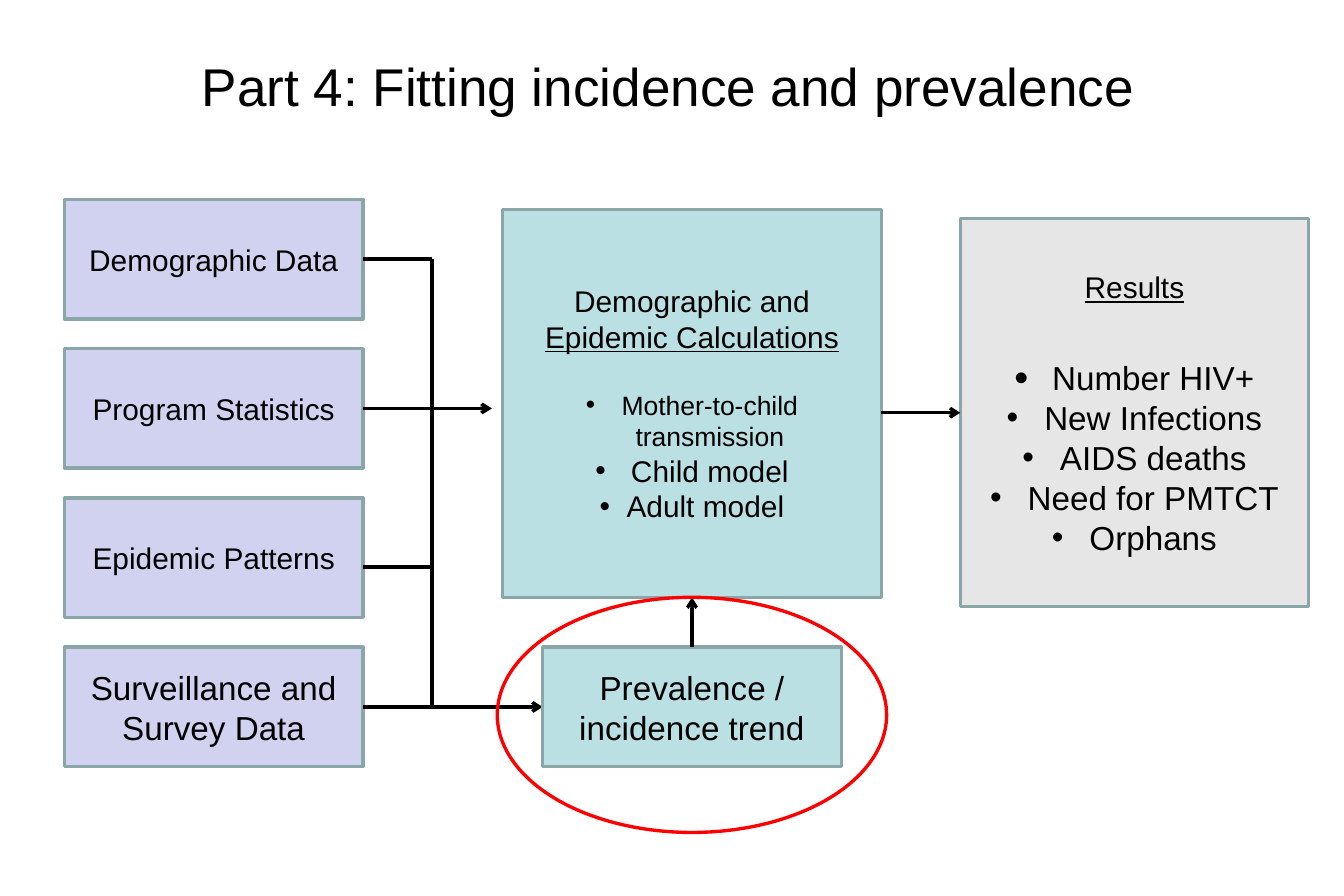
from collections import namedtuple
from dataclasses import dataclass

from lxml import etree
from pptx import Presentation
from pptx.dml.color import RGBColor
from pptx.enum.shapes import MSO_CONNECTOR, MSO_SHAPE
from pptx.enum.text import MSO_ANCHOR, PP_ALIGN
from pptx.oxml.ns import qn
from pptx.util import Cm, Pt

PROCESS = MSO_SHAPE.FLOWCHART_PROCESS
OVAL = MSO_SHAPE.OVAL
STRAIGHT = MSO_CONNECTOR.STRAIGHT
MIDDLE = MSO_ANCHOR.MIDDLE
CENTER = PP_ALIGN.CENTER

Box = namedtuple("Box", "x y w h")
Bullet = namedtuple("Bullet", "text size indent before scale", defaults=(0, 100))


@dataclass(frozen=True)
class Theme:
    """Colours, font and type sizes of the slide."""
    font: str = "Arial"
    ink: str = "000000"
    border: str = "8AA6A8"
    data: str = "D1D1F0"
    model: str = "BBE0E3"
    results: str = "E6E6E6"
    highlight: str = "FF0000"
    title: int = 32
    large: int = 20
    body: int = 18
    small: int = 16
    line: int = 2


THEME = Theme()


def rgb(value):
    """Turn a hex value into a colour."""
    return RGBColor.from_string(value)


def style_paragraph(p, size):
    """Centre a paragraph and format its runs."""
    p.alignment = CENTER
    for r in p.runs:
        r.font.name = THEME.font
        r.font.size = Pt(size)
        r.font.color.rgb = rgb(THEME.ink)


def add_bullet(tf, item):
    """Append a bulleted paragraph with a hanging indent."""
    p = tf.add_paragraph()
    p.text = item.text
    style_paragraph(p, item.size)
    p.space_before = Pt(item.before)
    pPr = p._p.get_or_add_pPr()
    pPr.set("marL", str(Cm(item.indent)))
    pPr.set("indent", str(-Cm(item.indent)))
    etree.SubElement(pPr, qn("a:buSzPct")).set("val", str(item.scale * 1000))
    etree.SubElement(pPr, qn("a:buFont")).set("typeface", THEME.font)
    etree.SubElement(pPr, qn("a:buChar")).set("char", "•")


def add_process(s, box, text, fill, size):
    """Draw a process box with centred text and return its text frame."""
    sp = s.shapes.add_shape(PROCESS, *map(Cm, box))
    sp.shadow.inherit = False
    sp.fill.solid()
    sp.fill.fore_color.rgb = rgb(fill)
    sp.line.color.rgb = rgb(THEME.border)
    sp.line.width = Pt(THEME.line)
    tf = sp.text_frame
    tf.word_wrap = True
    tf.vertical_anchor = MIDDLE
    tf.text = text
    style_paragraph(tf.paragraphs[0], size)
    return tf


def add_line(s, x1, y1, x2, y2, arrow=False):
    """Draw a straight line, with an open arrowhead at its end if asked."""
    cn = s.shapes.add_connector(STRAIGHT, Cm(x1), Cm(y1), Cm(x2), Cm(y2))
    cn.line.color.rgb = rgb(THEME.ink)
    cn.line.width = Pt(THEME.line)
    if arrow:
        ln = cn.line._get_or_add_ln()
        etree.SubElement(ln, qn("a:tailEnd")).set("type", "arrow")
    etree.SubElement(cn._element.spPr, qn("a:effectLst"))


def add_title(s, box, text):
    """Place the slide title."""
    tf = s.shapes.add_textbox(*map(Cm, box)).text_frame
    tf.word_wrap = True
    tf.margin_top = Cm(0.3)
    tf.text = text
    style_paragraph(tf.paragraphs[0], THEME.title)


def add_inputs(s, box, model_x, trend_x):
    """Stack the input boxes and join them to the model and the trend."""
    inputs = [
        ("Demographic Data", THEME.body),
        ("Program Statistics", THEME.body),
        ("Epidemic Patterns", THEME.body),
        ("Surveillance and Survey Data", THEME.large),
    ]
    height = 2.54
    pitch = (box.h - height) / (len(inputs) - 1)
    for i, (text, size) in enumerate(inputs):
        add_process(s, Box(box.x, box.y + i * pitch, box.w, height), text, THEME.data, size)
    right = box.x + box.w
    trunk = right + 1.47
    demographic, program, epidemic, survey = (
        box.y + height / 2 + i * pitch for i in range(len(inputs)))
    epidemic += 0.2
    add_line(s, right, survey, trend_x, survey, arrow=True)
    add_line(s, right, program, model_x - 0.23, program, arrow=True)
    add_line(s, trunk, demographic, trunk, survey)
    for y in (demographic, epidemic):
        add_line(s, right, y, trunk, y)


def add_model(s, box):
    """Draw the calculations box with its list of models."""
    tf = add_process(s, box, "Demographic and\vEpidemic Calculations", THEME.model, THEME.body)
    tf.paragraphs[0].runs[-1].font.underline = True
    for item in (
        Bullet("Mother-to-child transmission", THEME.small, 0.76, before=20.7),
        Bullet("Child model", THEME.body, 0.76),
        Bullet("Adult model", THEME.body, 0.57),
    ):
        add_bullet(tf, item)


def add_trend(s, box, model_bottom):
    """Draw the trend box, its arrow up to the model and the highlight."""
    add_process(s, box, "Prevalence / incidence trend", THEME.model, THEME.large)
    middle = box.x + box.w / 2
    add_line(s, middle, box.y, middle, model_bottom, arrow=True)
    width = 8.28
    ring = Box(middle - width / 2, model_bottom, width, 5)
    sp = s.shapes.add_shape(OVAL, *map(Cm, ring))
    sp.shadow.inherit = False
    sp.fill.background()
    sp.line.color.rgb = rgb(THEME.highlight)
    sp.line.width = Pt(THEME.line)


def add_results(s, box, model_right):
    """Draw the results box and the arrow that leads to it."""
    tf = add_process(s, box, "Results", THEME.results, THEME.body)
    tf.paragraphs[0].runs[0].font.underline = True
    add_bullet(tf, Bullet("Number HIV+", THEME.large, 0.8, before=32, scale=120))
    for text in ("New Infections", "AIDS deaths", "Need for PMTCT", "Orphans"):
        add_bullet(tf, Bullet(text, THEME.large, 0.8))
    y = box.y + box.h / 2
    add_line(s, model_right, y, box.x, y, arrow=True)


def main():
    """Build the slide and save it."""
    prs = Presentation()
    prs.slide_width, prs.slide_height = Cm(28.58), Cm(19.05)
    s = prs.slides.add_slide(prs.slide_layouts[6])
    model = Box(10.69, 4.45, 8.05, 8.25)
    trend = Box(11.54, 13.76, 6.35, 2.54)
    add_title(s, Box(1.37, 0.84, 25.7, 2.21), "Part 4: Fitting incidence and prevalence")
    add_inputs(s, Box(1.37, 4.24, 6.35, 12.06), model.x, trend.x)
    add_model(s, model)
    add_trend(s, trend, model.y + model.h)
    add_results(s, Box(20.42, 4.65, 7.41, 8.25), model.x + model.w)
    prs.save("out.pptx")


if __name__ == "__main__":
    main()
